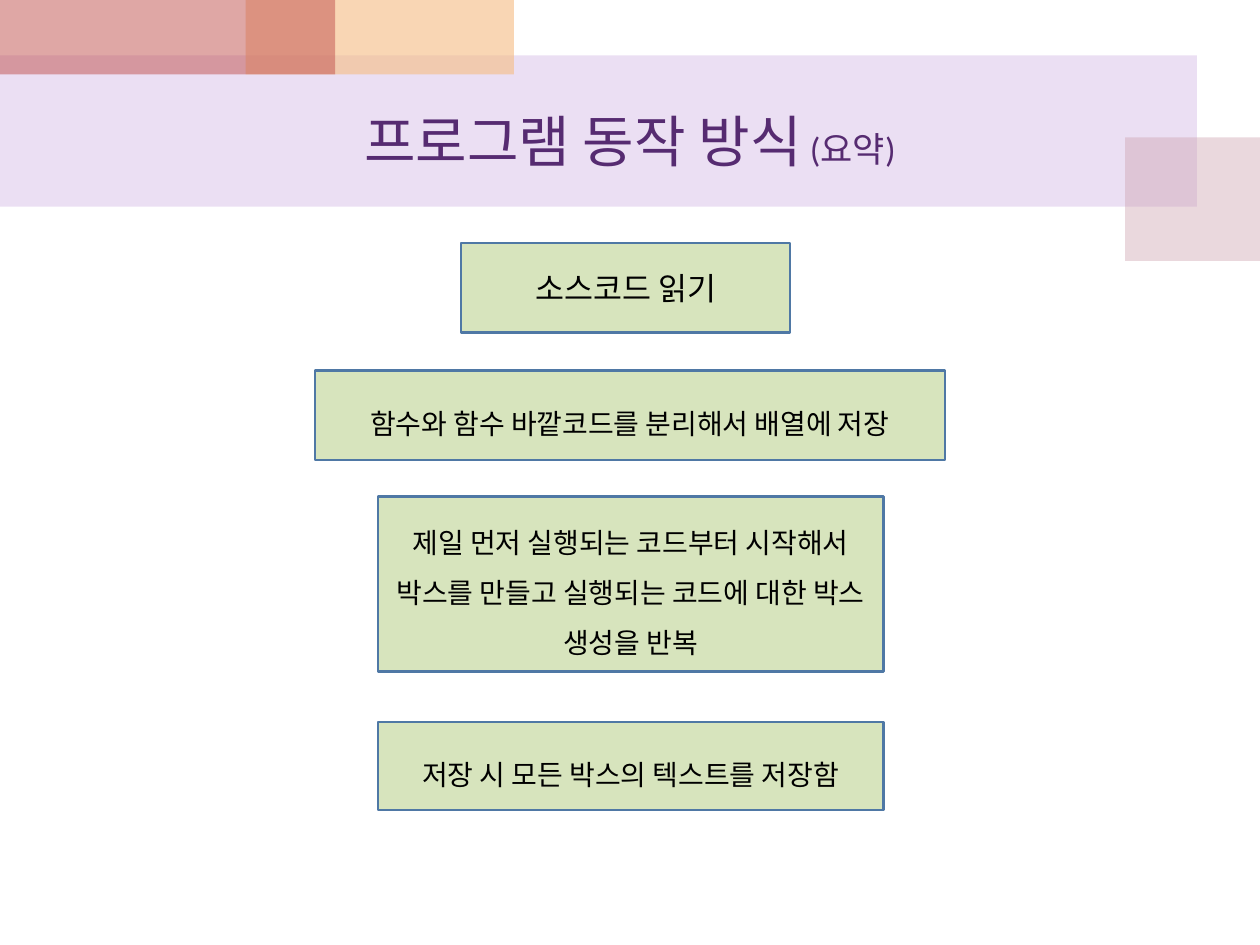
from lxml.etree import SubElement
from pptx import Presentation
from pptx.dml.color import RGBColor
from pptx.enum.shapes import MSO_SHAPE
from pptx.enum.text import MSO_ANCHOR, PP_ALIGN
from pptx.oxml.ns import qn
from pptx.util import Inches, Pt

COLORS = {
    "band": "BF98D8", "rose": "CC9EAC", "orange": "F5BC83", "red": "C0504D",
    "title": "562B71", "step": "D7E4BD", "border": "4F78A5", "text": "000000",
}
FONT = "Calibri"
WIDTH, HEIGHT = Inches(10), Inches(7.5)
COLUMNS, ROWS = 100, 75  # slide grid


def color(name):
    return RGBColor.from_string(COLORS[name])


def place(box, left, top, width, height):
    """Turn grid cells, counted from the corner of box, into slide lengths."""
    column, row = WIDTH / COLUMNS, HEIGHT / ROWS
    return (round((box[0] + left) * column), round((box[1] + top) * row),
            round(width * column), round(height * row))


def add_rectangle(slide, position, fill, opacity=None, border=None):
    shape = slide.shapes.add_shape(MSO_SHAPE.RECTANGLE, *position)
    shape.shadow.inherit = False
    shape.fill.solid()
    shape.fill.fore_color.rgb = color(fill)
    if opacity is not None:
        rgb = shape.fill._xPr.find(qn("a:solidFill"))[0]
        SubElement(rgb, qn("a:alpha")).set("val", str(opacity * 1000))
    if border:
        shape.line.color.rgb = color(border)
        shape.line.width = Pt(1.5)
    else:
        shape.line.fill.background()
    return shape


def write_text(shape, *runs, ink="text", spacing=None):
    """Write centred (text, size) runs into one paragraph."""
    frame = shape.text_frame
    frame.word_wrap = True
    frame.vertical_anchor = MSO_ANCHOR.MIDDLE
    paragraph = frame.paragraphs[0]
    paragraph.alignment = PP_ALIGN.CENTER
    paragraph.line_spacing = spacing
    for text, size in runs:
        run = paragraph.add_run()
        run.text = text
        run.font.name = FONT
        run.font.size = Pt(size)
        run.font.color.rgb = color(ink)


def add_header(slide, box):
    # Overlapping translucent blocks, back to front
    blocks = [
        ((0, 4.4, 95, 12), "band", 30),
        ((89.3, 10.9, 10.7, 9.8), "rose", 40),
        ((19.5, 0, 21.3, 5.9), "orange", 60),
        ((0, 0, 26.6, 5.9), "red", 50),
    ]
    for cells, fill, opacity in blocks:
        add_rectangle(slide, place(box, *cells), fill, opacity)

    # Title
    title = slide.shapes.add_textbox(*place(box, 5, 5.9, 90, 10.5))
    write_text(title, ("프로그램 동작 방식", 32), (" (요약)", 20), ink="title")


def add_steps(slide, box):
    # Left, width, height, gap below, text, size, line spacing
    steps = [
        (11.6, 26.1, 7.1, 3, "소스코드 읽기", 18, None),
        (0, 50, 7.1, 2.9, "함수와 함수 바깥코드를 분리해서 배열에 저장", 16, 1.5),
        (5, 40.1, 13.9, 4, "제일 먼저 실행되는 코드부터 시작해서 박스를 만들고 "
         "실행되는 코드에 대한 박스 생성을 반복", 16, 1.5),
        (5, 40.1, 7, 0, "저장 시 모든 박스의 텍스트를 저장함", 16, 1.5),
    ]
    top = 0
    for left, width, height, gap, text, size, spacing in steps:
        position = place(box, left, top, width, height)
        step = add_rectangle(slide, position, "step", border="border")
        write_text(step, (text, size), spacing=spacing)
        top += height + gap


def main():
    presentation = Presentation()
    presentation.slide_width, presentation.slide_height = WIDTH, HEIGHT
    slide = presentation.slides.add_slide(presentation.slide_layouts[6])
    add_header(slide, (0, 0))
    add_steps(slide, (25, 19.3))
    presentation.save("out.pptx")


if __name__ == "__main__":
    main()
